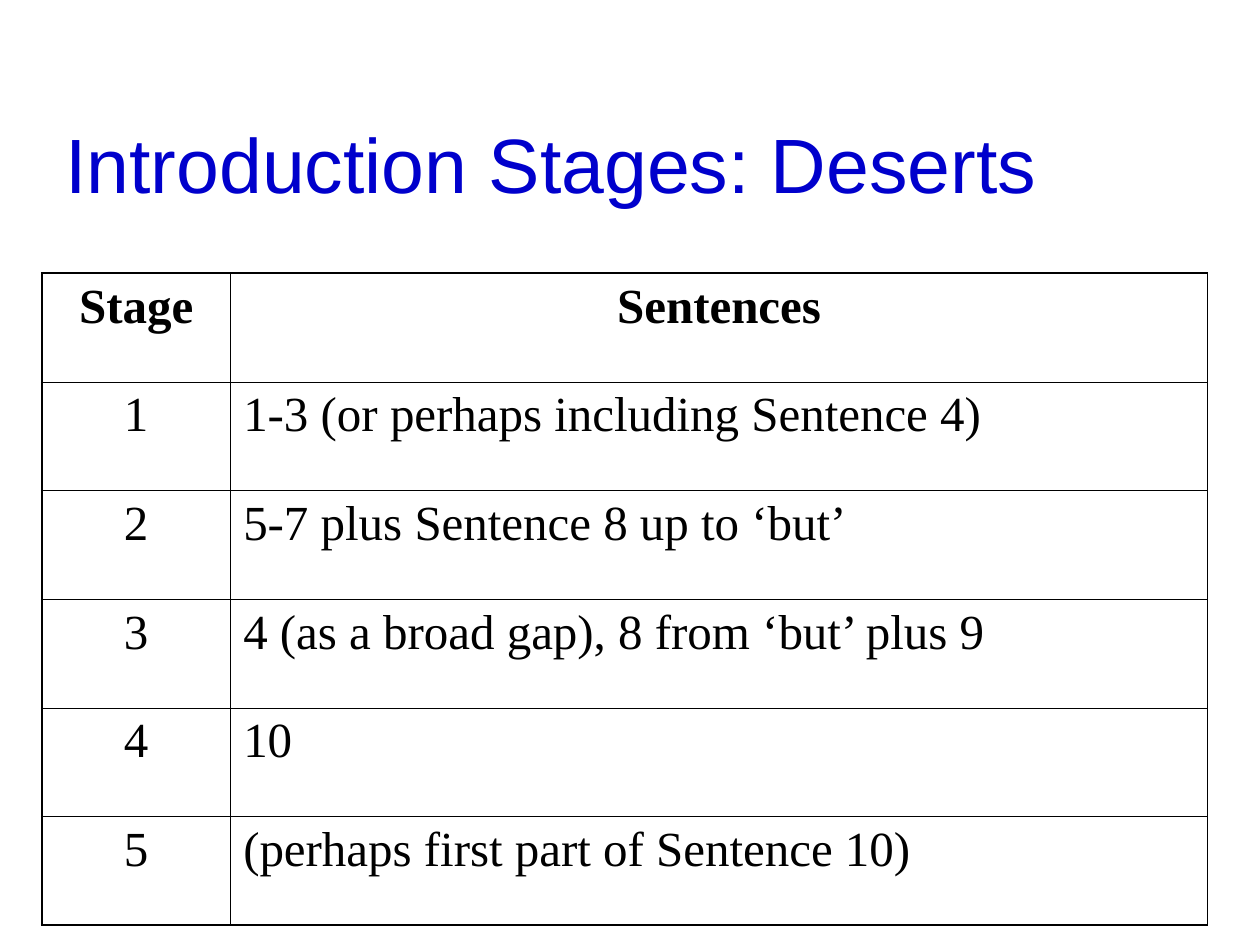
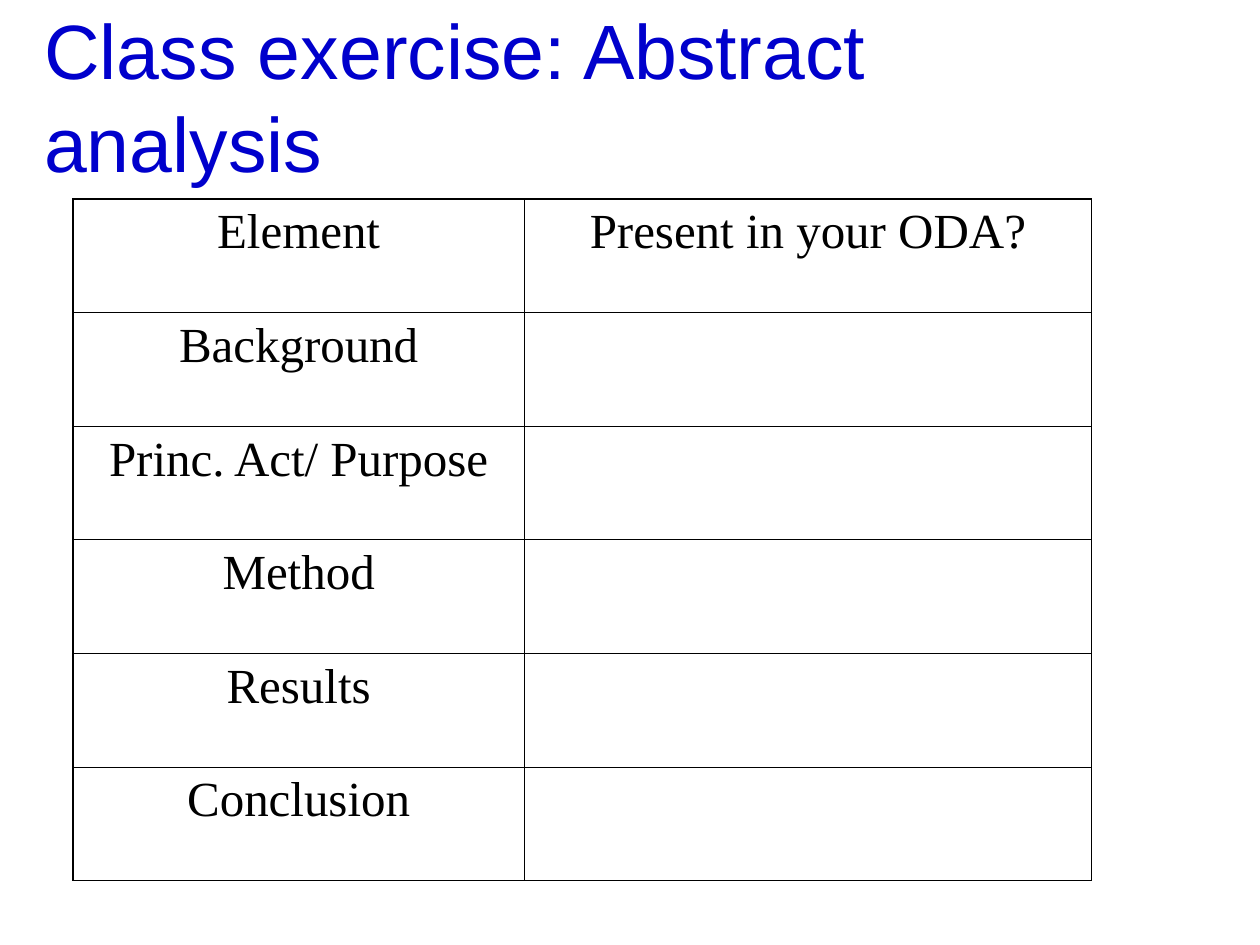
from lxml import etree
from pptx import Presentation
from pptx.dml.color import RGBColor
from pptx.enum.text import MSO_ANCHOR, PP_ALIGN
from pptx.oxml.ns import qn
from pptx.util import Cm, Pt

MIDDLE = MSO_ANCHOR.MIDDLE
LEFT, CENTER = PP_ALIGN.LEFT, PP_ALIGN.CENTER
BLUE, BLACK = "0000CC", "000000"
THICK, THIN = Pt(1.08), Pt(0.45)

STAGES = [
    ("Stage", "Sentences"),
    ("1", "1-3 (or perhaps including Sentence 4)"),
    ("2", "5-7 plus Sentence 8 up to ‘but’"),
    ("3", "4 (as a broad gap), 8 from ‘but’ plus 9"),
    ("4", "10"),
    ("5", "(perhaps first part of Sentence 10)"),
]
ELEMENTS = [
    ("Element", "Present in your ODA?"),
    ("Background", ""),
    ("Princ. Act/ Purpose", ""),
    ("Method", ""),
    ("Results", ""),
    ("Conclusion", ""),
]


def rgb(value):
    return RGBColor.from_string(value)


class Deck:
    """Builds slides that share one title style and one ruled table style."""

    def __init__(self):
        self.prs = Presentation()
        self.prs.slide_width, self.prs.slide_height = Cm(25.4), Cm(19.05)

    def slide(self):
        self.s = self.prs.slides.add_slide(self.prs.slide_layouts[6])

    def text(self, p, text, name, size, color, align=LEFT, bold=False):
        p.text = text
        p.alignment = align
        p.font.name, p.font.size, p.font.bold = name, Pt(size), bold
        p.font.color.rgb = rgb(color)

    def title(self, text, left, top, width, height):
        tf = self.s.shapes.add_textbox(Cm(left), Cm(top), Cm(width), Cm(height)).text_frame
        tf.word_wrap, tf.vertical_anchor = True, MIDDLE
        self.text(tf.paragraphs[0], text, "Arial", 44, BLUE)

    def borders(self, cell, widths):
        tc_pr = cell._tc.get_or_add_tcPr()
        for i, (side, width) in enumerate(zip("LRTB", widths)):
            ln = etree.Element(qn(f"a:ln{side}"), w=str(width))
            fill = etree.SubElement(ln, qn("a:solidFill"))
            etree.SubElement(fill, qn("a:srgbClr"), val=BLACK)
            tc_pr.insert(i, ln)

    def table(self, rows, left, top, col_widths, row_height, bold_header=False):
        n, m = len(rows), len(col_widths)
        table = self.s.shapes.add_table(
            n, m, Cm(left), Cm(top), Cm(sum(col_widths)), Cm(n * row_height)).table
        table.first_row = table.horz_banding = False
        for column, width in zip(table.columns, col_widths):
            column.width = Cm(width)
        for i, row in enumerate(rows):
            table.rows[i].height = Cm(row_height)
            for j, text in enumerate(row):
                cell = table.cell(i, j)
                cell.fill.background()
                edges = (j == 0, j == m - 1, i == 0, i == n - 1)
                self.borders(cell, [THICK if edge else THIN for edge in edges])
                self.text(cell.text_frame.paragraphs[0], text, "Times New Roman", 28, BLACK,
                          CENTER if i == 0 or j == 0 else LEFT, bold_header and i == 0)


def main():
    deck = Deck()

    deck.slide()
    deck.title("Introduction Stages: Deserts", 1.07, 1.7, 21.59, 3.18)
    deck.table(STAGES, 0.84, 5.51, (3.81, 19.69), 2.19, bold_header=True)

    deck.slide()
    deck.title("Class exercise: Abstract analysis", 0.64, 1.07, 20.5, 1.7)
    deck.table(ELEMENTS, 1.47, 4.01, (9.1, 11.43), 2.29)

    deck.prs.save("out.pptx")


if __name__ == "__main__":
    main()
